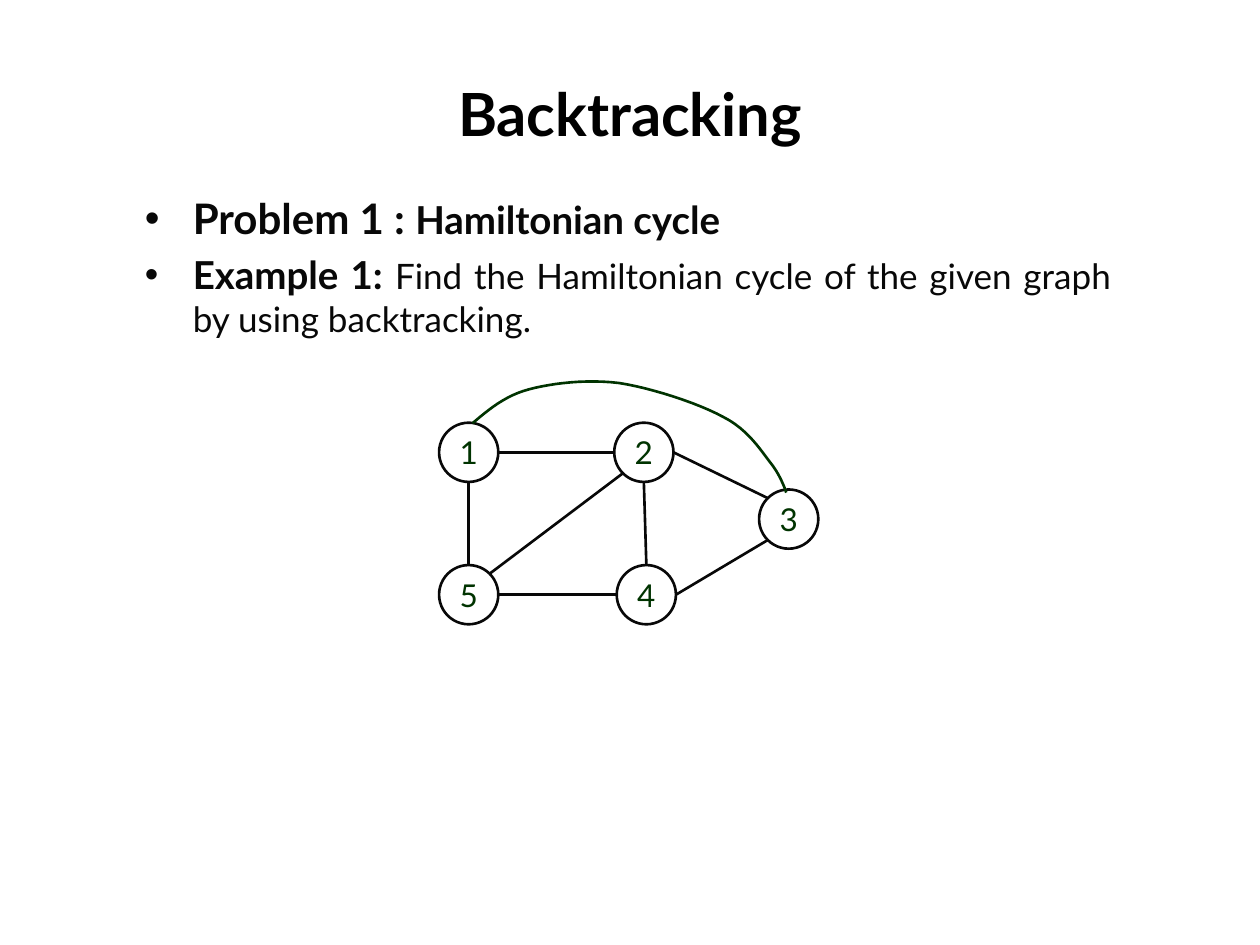
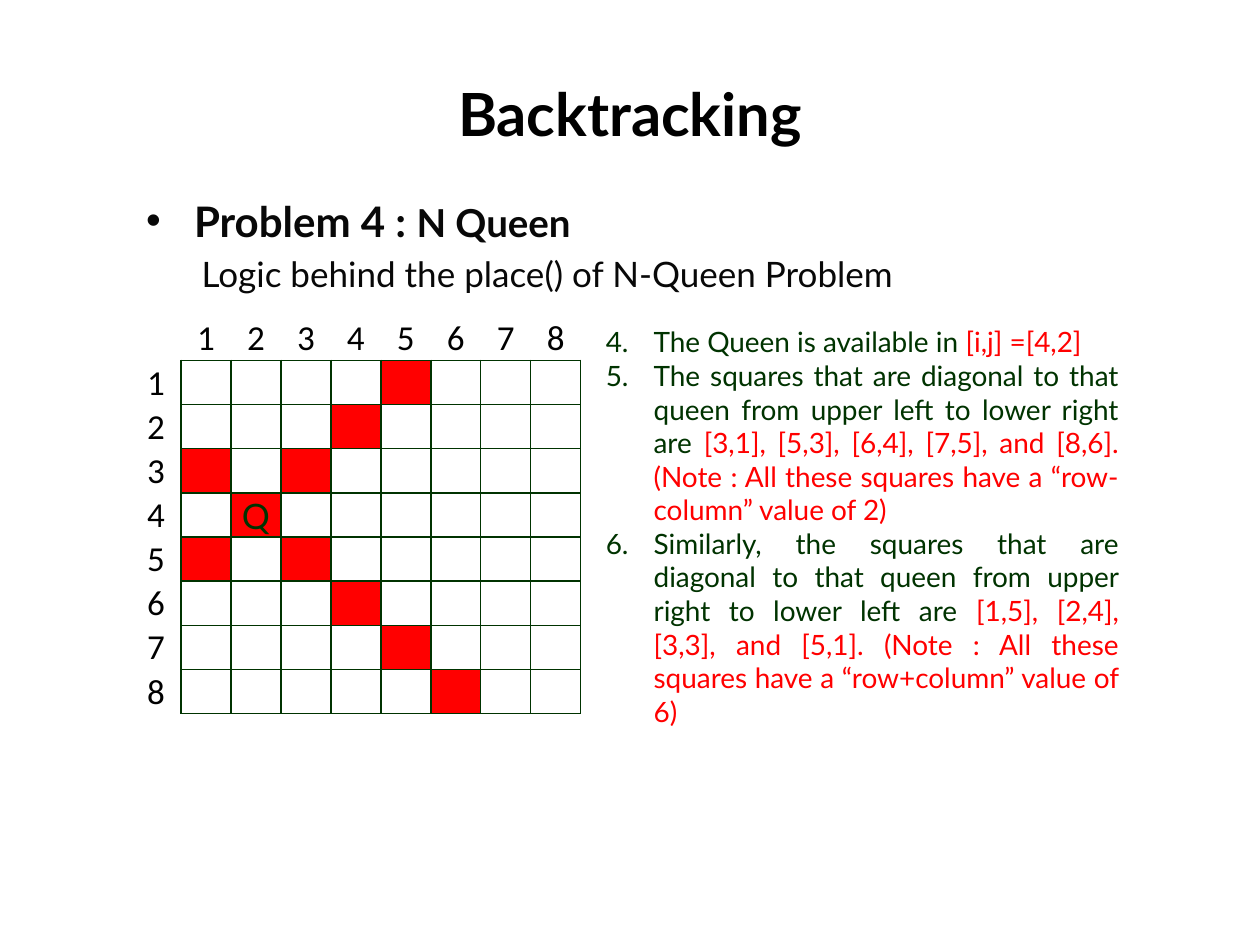
from dataclasses import dataclass

from lxml import etree
from pptx import Presentation
from pptx.dml.color import RGBColor
from pptx.enum import shapes, text
from pptx.oxml import ns
from pptx.util import Inches, Pt


@dataclass(frozen=True)
class Theme:
    font: str = "Lato"
    grid_font: str = "Calibri"
    black: str = "000000"
    ink: str = "080808"
    green: str = "003300"
    red: str = "FF0000"
    white: str = "FFFFFF"
    title: int = 34
    head: int = 24
    sub: int = 22
    body: int = 20
    node: int = 18
    note: int = 16
    line: float = 1.5
    hang: float = 0.38


T = Theme()
TITLE = "Backtracking"

# Body paragraphs: (level, left indent, first line indent, runs);
# each run is (words, size, bold).
CYCLE = [
    (0, T.hang, -T.hang, [("Problem 1 : ", T.head, True),
                          ("Hamiltonian cycle", T.sub, True)]),
    (0, T.hang, -T.hang, [
        ("Example 1: ", T.sub, True),
        ("Find the Hamiltonian cycle of the given graph by using backtracking.",
         T.body, False)]),
]
QUEEN = [
    (0, T.hang, -T.hang, [("Problem 4 : ", T.head, True),
                          ("N Queen", T.sub, True)]),
    (1, 0.44, 0, [("Logic behind the place() of N-Queen Problem", T.body, False)]),
]

# Graph: node centres, then edges between points of the compass on two nodes.
SIZE = 0.47
NODES = {"1": (3.72, 3.59), "2": (5.11, 3.59), "3": (6.26, 4.12),
         "4": (5.13, 4.72), "5": (3.72, 4.72)}
EDGES = [("2", "W", "1", "E"), ("4", "W", "5", "E"), ("2", "S", "4", "N"),
         ("5", "N", "1", "S"), ("2", "SW", "5", "NE"), ("3", "NW", "2", "E"),
         ("3", "SW", "4", "E")]
STEPS = {"N": (0, -1), "S": (0, 1), "E": (1, 0), "W": (-1, 0)}
# Curve from node 1 to node 3: a start, then cubic pieces of three points.
START = (3.75, 3.36)
ARC = [
    ((3.88, 3.25), (4.01, 3.14), (4.2, 3.09)),
    ((4.39, 3.04), (4.66, 3.01), (4.91, 3.04)),
    ((5.17, 3.08), (5.54, 3.2), (5.74, 3.31)),
    ((5.94, 3.41), (6.04, 3.58), (6.12, 3.68)),
    ((6.2, 3.78), (6.24, 3.91), (6.24, 3.91)),
]

# Board: the queen's square fixes both diagonals.
BOARD = 8
ROW, COL = 4, 2
BOARD_W, CELL_H = 3.57, 0.34
FIRST = 4
NOTES = [
    ("The Queen is available in ", "[i,j] =[4,2]"),
    ("The squares that are diagonal to that queen from upper left to lower "
     "right are ",
     "[3,1], [5,3], [6,4], [7,5], and [8,6]. (Note : All these squares have a "
     "“row-column” value of 2)"),
    ("Similarly, the squares that are diagonal to that queen from upper right "
     "to lower left are ",
     "[1,5], [2,4], [3,3], and [5,1]. (Note : All these squares have a "
     "“row+column” value of 6)"),
]


def add_run(par, words, size, color, bold=False, font=T.font):
    run = par.add_run()
    run.text = words
    run.font.name, run.font.size, run.font.bold = font, Pt(size), bold
    run.font.color.rgb = RGBColor.from_string(color)


def add_el(parent, tag, **attrs):
    return etree.SubElement(parent, ns.qn(tag), attrs)


def indent(par, left, first):
    props = par._p.get_or_add_pPr()
    props.set("marL", str(Inches(left)))
    props.set("indent", str(Inches(first)))
    return props


def place(shape, left, top, width, height):
    shape.left, shape.top = Inches(left), Inches(top)
    shape.width, shape.height = Inches(width), Inches(height)


def each_par(frame, items):
    """Pair every item with its own paragraph of the frame."""
    for i, item in enumerate(items):
        yield (frame.add_paragraph() if i else frame.paragraphs[0]), item


def add_slide(deck, lines, box):
    slide = deck.slides.add_slide(deck.slide_layouts[1])
    head, body = slide.shapes.title, slide.placeholders[1]
    place(head, 0.5, 0.5, 9, 0.79)
    place(body, *box)
    for frame in (head.text_frame, body.text_frame):
        frame.auto_size = text.MSO_AUTO_SIZE.NONE
    par = head.text_frame.paragraphs[0]
    par.alignment = text.PP_ALIGN.CENTER
    add_run(par, TITLE, T.title, T.black, True)
    for par, (level, left, first, runs) in each_par(body.text_frame, lines):
        par.level = level
        props = indent(par, left, first)
        if level:
            add_el(props, "a:buNone")
        par.alignment = text.PP_ALIGN.JUSTIFY
        for words, size, bold in runs:
            add_run(par, words, size, T.ink, bold)
    body.text_frame.paragraphs[0].space_before = Pt(0)
    return slide


def set_line(shape, color):
    shape.line.color.rgb = RGBColor.from_string(color)
    shape.line.width = Pt(T.line)


def add_node(slide, name):
    x, y = NODES[name]
    node = slide.shapes.add_shape(
        shapes.MSO_SHAPE.OVAL, Inches(x - SIZE / 2), Inches(y - SIZE / 2),
        Inches(SIZE), Inches(SIZE))
    node.shadow.inherit = False
    node.fill.background()
    set_line(node, T.ink)
    frame = node.text_frame
    frame.margin_left = frame.margin_right = 0
    frame.margin_top = frame.margin_bottom = 0
    frame.word_wrap = False
    frame.vertical_anchor = text.MSO_ANCHOR.MIDDLE
    par = frame.paragraphs[0]
    par.alignment = text.PP_ALIGN.CENTER
    add_run(par, name, T.node, T.green)


def rim(name, side):
    """Point on a node's circle in a compass direction."""
    x, y = NODES[name]
    dx = sum(STEPS[c][0] for c in side)
    dy = sum(STEPS[c][1] for c in side)
    scale = SIZE / 2 / len(side) ** 0.5
    return Inches(x + dx * scale), Inches(y + dy * scale)


def add_edge(slide, a, out, b, into):
    edge = slide.shapes.add_connector(
        shapes.MSO_CONNECTOR.STRAIGHT, *rim(a, out), *rim(b, into))
    set_line(edge, T.ink)
    add_el(edge._element.spPr, "a:effectLst")


def trace(start, pieces, steps=12):
    """Sample a chain of cubic Bezier pieces, in whole length units."""
    for piece in pieces:
        for i in range(1, steps + 1):
            t = i / steps
            w = ((1 - t) ** 3, 3 * t * (1 - t) ** 2, 3 * t * t * (1 - t), t ** 3)
            yield tuple(Inches(sum(k * p[axis] for k, p in zip(w, (start, *piece))))
                        for axis in (0, 1))
        start = piece[-1]


def add_arc(slide):
    pen = slide.shapes.build_freeform(*map(Inches, START))
    pen.add_line_segments(list(trace(START, ARC)), close=False)
    arc = pen.convert_to_shape()
    arc.shadow.inherit = False
    arc.fill.background()
    set_line(arc, T.green)


def set_edges(cell, **colors):
    props = cell._tc.get_or_add_tcPr()
    for side in "LRTB":
        line = add_el(props, "a:ln" + side, w=str(Pt(1)))
        add_el(add_el(line, "a:solidFill"), "a:srgbClr", val=colors.get(side, T.white))


def fill_cell(cell, row, col):
    """Row 0 and column 0 hold the labels; the rest is the board."""
    inside = row and col
    if inside:
        set_edges(cell, **dict.fromkeys("LRTB", T.green))
    elif row:
        set_edges(cell, R=T.green)
    elif col:
        set_edges(cell, B=T.green)
    else:
        set_edges(cell)
    cell.margin_left = cell.margin_right = cell.margin_top = Inches(0.01)
    cell.margin_bottom = 0
    cell.vertical_anchor = text.MSO_ANCHOR.BOTTOM
    if inside and (row - col == ROW - COL or row + col == ROW + COL):
        cell.fill.solid()
        cell.fill.fore_color.rgb = RGBColor.from_string(T.red)
    else:
        cell.fill.background()
    par = cell.text_frame.paragraphs[0]
    par.alignment = text.PP_ALIGN.CENTER
    if (row, col) == (ROW, COL):
        add_run(par, "Q", T.body, T.green)
    elif not inside and row + col:
        add_run(par, str(row + col), T.body, T.black, font=T.grid_font)


def add_board(slide):
    n = BOARD + 1
    table = slide.shapes.add_table(
        n, n, Inches(1.04), Inches(2.51), Inches(BOARD_W), Inches(n * CELL_H)).table
    table.first_row = table.horz_banding = False
    for i in range(n):
        table.columns[i].width = Inches(BOARD_W / n)
        table.rows[i].height = Inches(CELL_H)
        for j in range(n):
            fill_cell(table.cell(i, j), i, j)


def add_notes(slide):
    box = slide.shapes.add_textbox(Inches(4.71), Inches(2.53), Inches(4.27), Inches(3.6))
    box.text_frame.word_wrap = True
    for par, (lead, squares) in each_par(box.text_frame, NOTES):
        props = indent(par, T.hang, -T.hang)
        add_el(props, "a:buFont", typeface="+mj-lt")
        add_el(props, "a:buAutoNum", type="arabicPeriod", startAt=str(FIRST))
        par.alignment = text.PP_ALIGN.JUSTIFY
        add_run(par, lead, T.note, T.green)
        add_run(par, squares, T.note, T.red)


def main():
    deck = Presentation()
    deck.slide_width, deck.slide_height = Inches(10), Inches(7.5)
    graph = add_slide(deck, CYCLE, (1.05, 1.48, 7.87, 5.03))
    for name in NODES:
        add_node(graph, name)
    for edge in EDGES:
        add_edge(graph, *edge)
    add_arc(graph)
    board = add_slide(deck, QUEEN, (1.06, 1.5, 8.27, 0.99))
    add_board(board)
    add_notes(board)
    deck.save("out.pptx")


if __name__ == "__main__":
    main()
